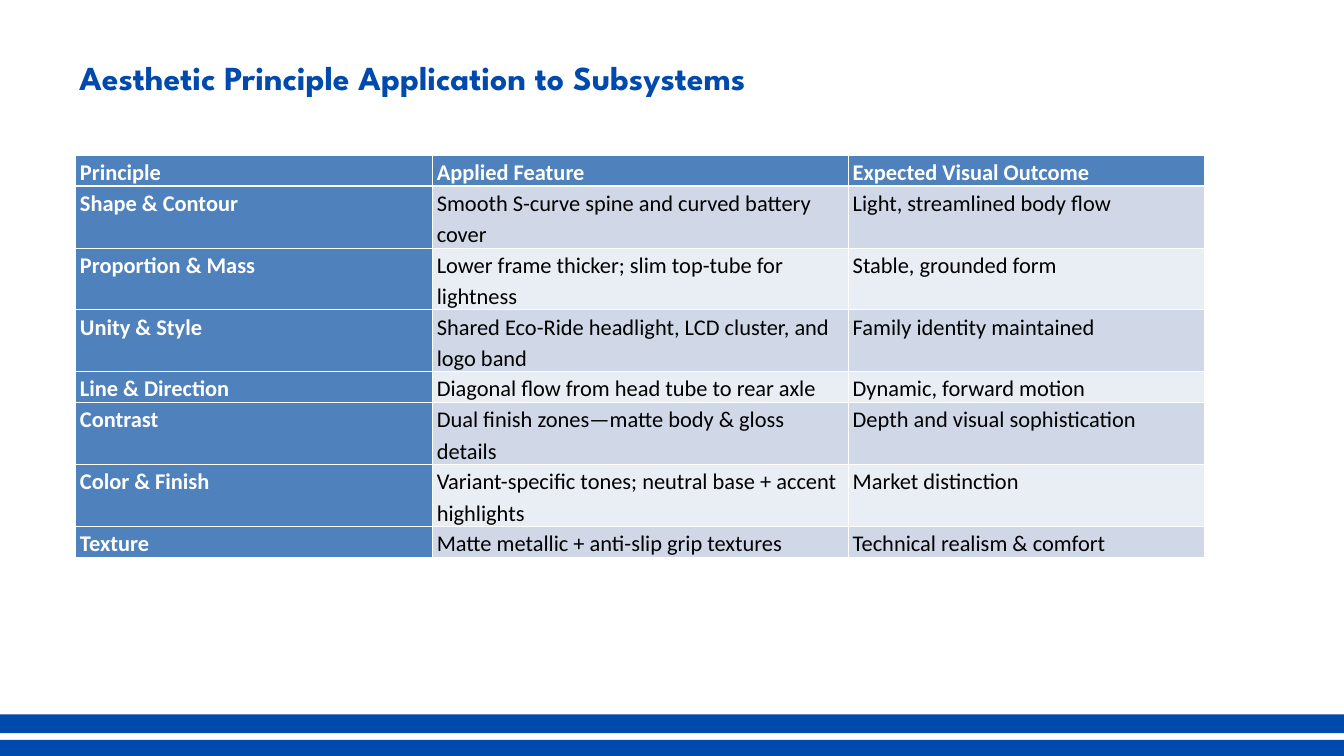
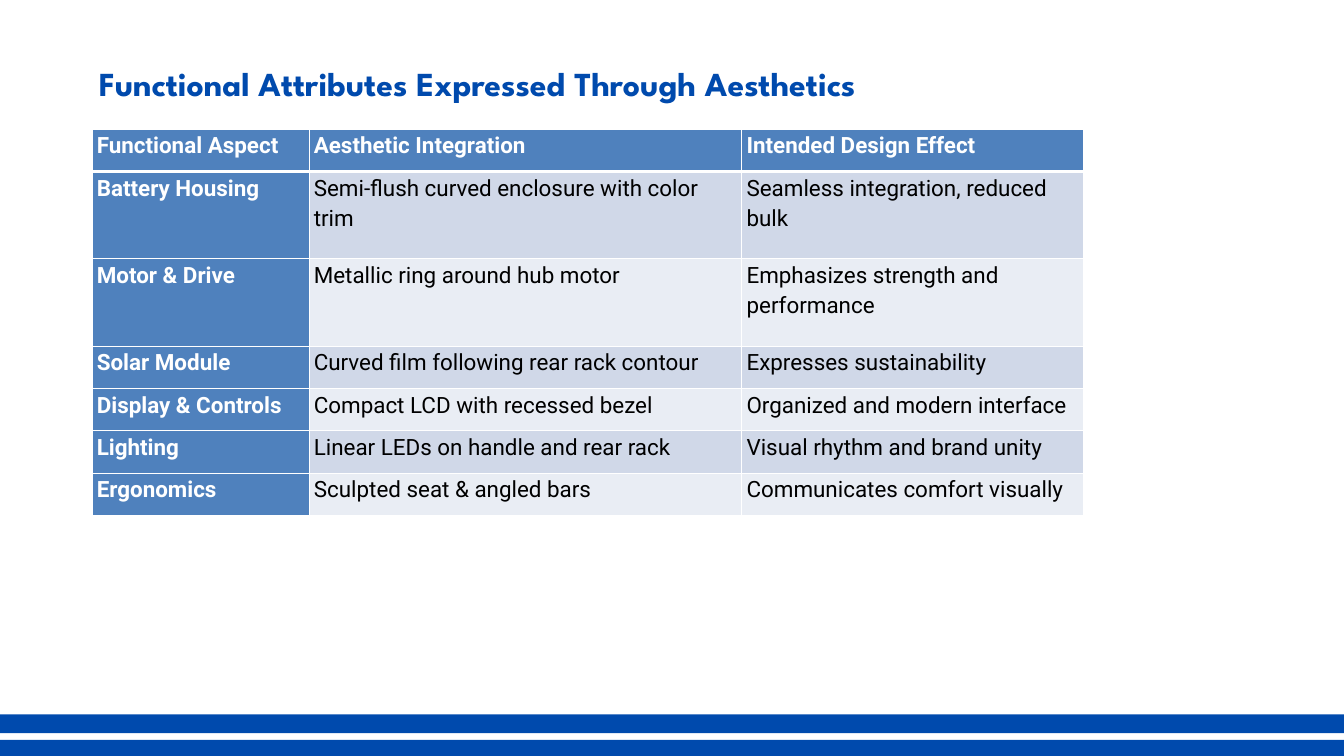
from lxml import etree
from pptx import Presentation
from pptx import util as u
from pptx.dml.color import RGBColor
from pptx.enum import shapes, text
from pptx.oxml import ns

WIDTH, HEIGHT = u.Inches(20), u.Inches(11.25)
COL, ROW = WIDTH / 200, HEIGHT / 112.5
BLUE, HEAD, WHITE, BLACK = "004AAD", "4F81BD", "FFFFFF", "000000"
STRIPES = ("D0D8E8", "E9EDF4")
BAND_TOPS = (110.1, 106.3)

PRINCIPLES = [
    ("Principle", "Applied Feature", "Expected Visual Outcome"),
    ("Shape & Contour", "Smooth S-curve spine and curved battery cover",
     "Light, streamlined body flow"),
    ("Proportion & Mass", "Lower frame thicker; slim top-tube for lightness",
     "Stable, grounded form"),
    ("Unity & Style", "Shared Eco-Ride headlight, LCD cluster, and logo band",
     "Family identity maintained"),
    ("Line & Direction", "Diagonal flow from head tube to rear axle",
     "Dynamic, forward motion"),
    ("Contrast", "Dual finish zones—matte body & gloss details",
     "Depth and visual sophistication"),
    ("Color & Finish", "Variant-specific tones; neutral base + accent highlights",
     "Market distinction"),
    ("Texture", "Matte metallic + anti-slip grip textures",
     "Technical realism & comfort"),
]
ATTRIBUTES = [
    ("Functional Aspect", "Aesthetic Integration", "Intended Design Effect"),
    ("Battery Housing", "Semi-flush curved enclosure with color trim",
     "Seamless integration, reduced bulk"),
    ("Motor & Drive", "Metallic ring around hub motor",
     "Emphasizes strength and performance"),
    ("Solar Module", "Curved film following rear rack contour",
     "Expresses sustainability"),
    ("Display & Controls", "Compact LCD with recessed bezel",
     "Organized and modern interface"),
    ("Lighting", "Linear LEDs on handle and rear rack",
     "Visual rhythm and brand unity"),
    ("Ergonomics", "Sculpted seat & angled bars",
     "Communicates comfort visually"),
]


def rgb(value):
    """Turn a hex string into a colour."""
    return RGBColor.from_string(value)


def grid(left, top, cols, rows):
    """Turn grid columns and rows into a box on the slide."""
    return round(left * COL), round(top * ROW), round(cols * COL), round(rows * ROW)


def write(tf, words, font, size, color, bold):
    """Fill a text frame with one formatted paragraph."""
    p = tf.paragraphs[0]
    p.alignment = text.PP_ALIGN.LEFT
    p.line_spacing, p.space_after = 1.15, u.Pt(10)
    r = p.add_run()
    r.text = words
    r.font.name, r.font.size, r.font.bold = font, u.Pt(size), bold
    r.font.color.rgb = rgb(color)


def add_bands(s):
    """Draw the two footer bands across the slide."""
    for top in BAND_TOPS:
        sp = s.shapes.add_shape(shapes.MSO_SHAPE.RECTANGLE, *grid(-1.25, top, 202.5, 2.8))
        sp.shadow.inherit = False
        sp.fill.solid()
        sp.fill.fore_color.rgb = rgb(BLUE)
        sp.line.fill.background()


def add_title(s, words, box):
    """Place and format the title placeholder."""
    sp = s.shapes.title
    sp.left, sp.top, sp.width, sp.height = box
    tf = sp.text_frame
    tf.word_wrap = True
    tf.auto_size = text.MSO_AUTO_SIZE.SHAPE_TO_FIT_TEXT
    tf.vertical_anchor = text.MSO_ANCHOR.TOP
    write(tf, words, "League Spartan", 36, BLUE, True)


def add_borders(cell, top, bottom):
    """Give a cell white borders, with its top and bottom widths in points."""
    tc_pr = cell._tc.get_or_add_tcPr()
    for i, (side, width) in enumerate(zip("LRTB", (1, 1, top, bottom))):
        ln = etree.Element(ns.qn(f"a:ln{side}"), w=str(u.Pt(width)))
        fill = etree.SubElement(ln, ns.qn("a:solidFill"))
        etree.SubElement(fill, ns.qn("a:srgbClr"), val=WHITE)
        tc_pr.insert(i, ln)


def style_cell(cell, words, font, row, col):
    """Fill, frame and write one cell according to its row and column."""
    heading = row == 0 or col == 0
    cell.margin_left = cell.margin_right = u.Inches(0.07)
    cell.margin_top = cell.margin_bottom = 0
    cell.fill.solid()
    cell.fill.fore_color.rgb = rgb(HEAD if heading else STRIPES[(row - 1) % 2])
    add_borders(cell, 3 if row == 1 else 1, 3 if row == 0 else 1)
    write(cell.text_frame, words, font, 24, WHITE if heading else BLACK, heading)


def add_grid_table(s, data, font, left, top, cols, rows):
    """Place a table whose column and row sizes are grid units."""
    box = grid(left, top, sum(cols), sum(rows))
    table = s.shapes.add_table(len(rows), len(cols), *box).table
    table.first_col = True
    for column, width in zip(table.columns, cols):
        column.width = round(width * COL)
    for i, (height, values) in enumerate(zip(rows, data)):
        table.rows[i].height = round(height * ROW)
        for j, words in enumerate(values):
            style_cell(table.cell(i, j), words, font, i, j)


def add_table_slide(prs, title, title_box, **table):
    """Build one slide with footer bands, a title and a table."""
    s = prs.slides.add_slide(prs.slide_layouts[5])
    add_bands(s)
    add_title(s, title, grid(*title_box))
    add_grid_table(s, **table)


def main():
    """Build and save the presentation."""
    prs = Presentation()
    prs.slide_width, prs.slide_height = WIDTH, HEIGHT
    line = 4.6
    add_table_slide(
        prs, "Aesthetic Principle Application to Subsystems", (10.8, 7.1, 129.2, 7.7),
        data=PRINCIPLES, font="Calibri", left=11.2, top=23.1,
        cols=(53.1, 61.9, 53.1), rows=[line * n for n in (1, 2, 2, 2, 1, 2, 2, 1)])
    add_table_slide(
        prs, "Functional Attributes Expressed Through Aesthetics", (13.7, 7.9, 147.5, 7.7),
        data=ATTRIBUTES, font="Roboto", left=13.7, top=19.2,
        cols=(32.3, 64.4, 50.8), rows=[6.3, 13, 13] + [6.3] * 4)
    prs.save("out.pptx")


if __name__ == "__main__":
    main()
